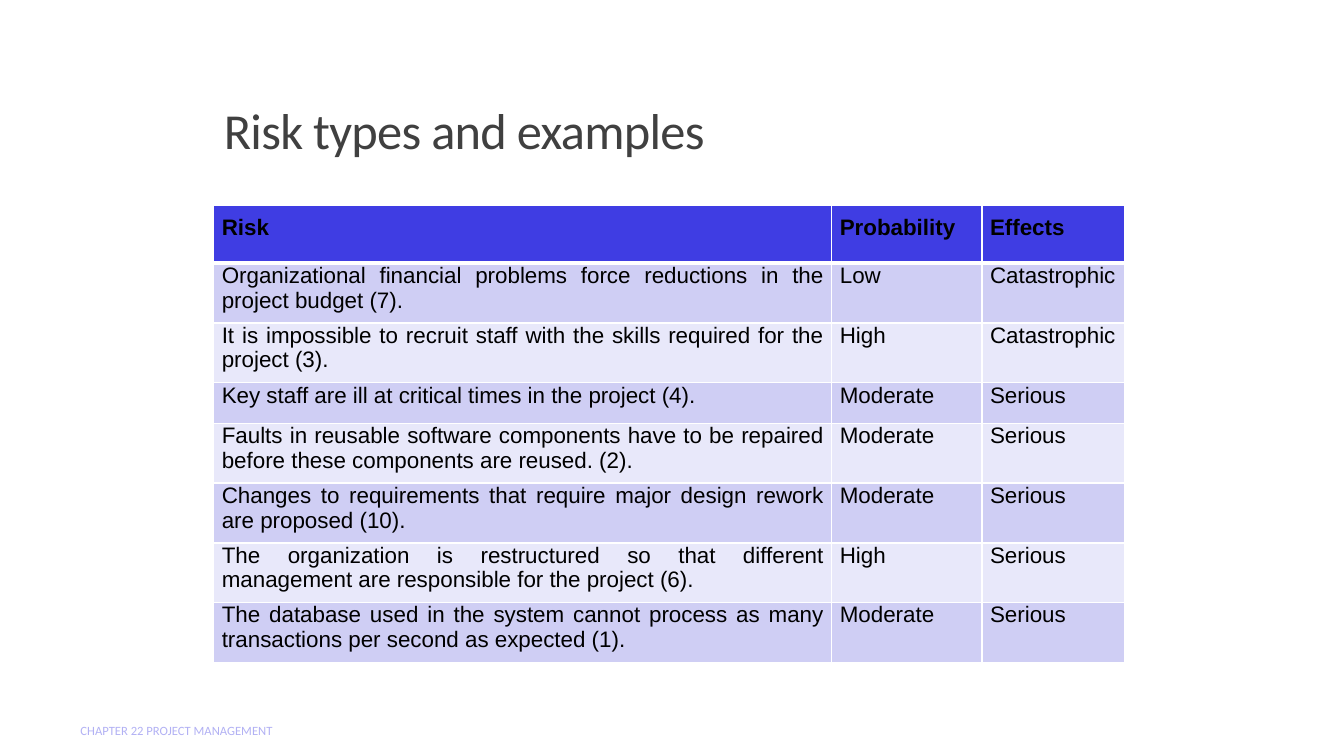
from lxml import etree
from pptx import Presentation
from pptx.dml.color import RGBColor
from pptx.enum.text import MSO_ANCHOR, PP_ALIGN
from pptx.oxml.ns import qn
from pptx.util import Pt

LEFT, JUSTIFY = PP_ALIGN.LEFT, PP_ALIGN.JUSTIFY
BOTTOM, MIDDLE = MSO_ANCHOR.BOTTOM, MSO_ANCHOR.MIDDLE

PX = 9144  # EMU per px, 100 px to the inch

BLACK = RGBColor(0x00, 0x00, 0x00)
WHITE = RGBColor(0xFF, 0xFF, 0xFF)
TITLE_GREY = RGBColor(0x40, 0x40, 0x40)
HEADER_BLUE = RGBColor(0x3F, 0x3D, 0xE3)
BAND_DARK = RGBColor(0xCF, 0xCE, 0xF4)
BAND_LIGHT = RGBColor(0xE8, 0xE8, 0xFA)
FOOTER_LILAC = RGBColor(0xB2, 0xB1, 0xF4)

RISKS = [
    ("Risk", "Probability", "Effects"),
    ("Organizational financial problems force reductions in the project budget (7).",
     "Low", "Catastrophic"),
    ("It is impossible to recruit staff with the skills required for the project (3).",
     "High", "Catastrophic"),
    ("Key staff are ill at critical times in the project (4).",
     "Moderate", "Serious"),
    ("Faults in reusable software components have to be repaired before these "
     "components are reused. (2).", "Moderate", "Serious"),
    ("Changes to requirements that require major design rework are proposed (10).",
     "Moderate", "Serious"),
    ("The organization is restructured so that different management are "
     "responsible for the project (6).", "High", "Serious"),
    ("The database used in the system cannot process as many transactions per "
     "second as expected (1).", "Moderate", "Serious"),
]
COLUMN_WIDTHS = [613, 149, 141]
ROW_HEIGHTS = [57, 47, 47, 40, 47, 47, 47, 47]


def write(frame, text, *, size, color, font="Calibri", bold=False, align=LEFT):
    para = frame.paragraphs[0]
    para.alignment = align
    span = para.add_run()
    span.text = text
    span.font.name = font
    span.font.size = Pt(size)
    span.font.bold = bold
    span.font.color.rgb = color
    return span


def add_border(cell, position, side, width):
    line = etree.Element(qn(f"a:ln{side}"), w=str(Pt(width)))
    fill = etree.SubElement(line, qn("a:solidFill"))
    etree.SubElement(fill, qn("a:srgbClr"), val=str(WHITE))
    cell._tc.get_or_add_tcPr().insert(position, line)


deck = Presentation()
deck.slide_width, deck.slide_height = 1333 * PX, 750 * PX
page = deck.slides.add_slide(deck.slide_layouts[5])

# Title
title = page.shapes.title
title.left, title.top, title.width, title.height = (
    212 * PX, 49 * PX, 763 * PX, 115 * PX)
title.text_frame.vertical_anchor = BOTTOM
title_span = write(title.text_frame, "Risk types and examples",
                   size=36, color=TITLE_GREY)
title_span.font._element.set("spc", "-50")
title.text_frame.paragraphs[0].line_spacing = 0.9

# Risk table
table = page.shapes.add_table(
    len(RISKS), len(COLUMN_WIDTHS), 212 * PX, 204 * PX,
    sum(COLUMN_WIDTHS) * PX, sum(ROW_HEIGHTS) * PX).table
for column, width in zip(table.columns, COLUMN_WIDTHS):
    column.width = width * PX
for row, height in zip(table.rows, ROW_HEIGHTS):
    row.height = height * PX

for row_index, risk in enumerate(RISKS):
    is_header = row_index == 0
    band = BAND_DARK if row_index % 2 else BAND_LIGHT
    for column_index, text in enumerate(risk):
        cell = table.cell(row_index, column_index)
        cell.margin_left = cell.margin_right = 8 * PX
        cell.margin_top = 10 * PX if is_header else 0
        cell.margin_bottom = 10 * PX
        cell.fill.solid()
        cell.fill.fore_color.rgb = HEADER_BLUE if is_header else band
        write(cell.text_frame, text, size=16, color=BLACK, font="Arial",
              bold=is_header, align=JUSTIFY)
        if is_header:
            for position, side in enumerate("LRTB"):
                add_border(cell, position, side, 3 if side == "B" else 1)

# Footer
footer = page.shapes.add_textbox(70 * PX, 705 * PX, 746 * PX, 40 * PX)
footer.text_frame.word_wrap = True
footer.text_frame.vertical_anchor = MIDDLE
write(footer.text_frame, "CHAPTER 22 PROJECT MANAGEMENT",
      size=9, color=FOOTER_LILAC)

deck.save("out.pptx")
